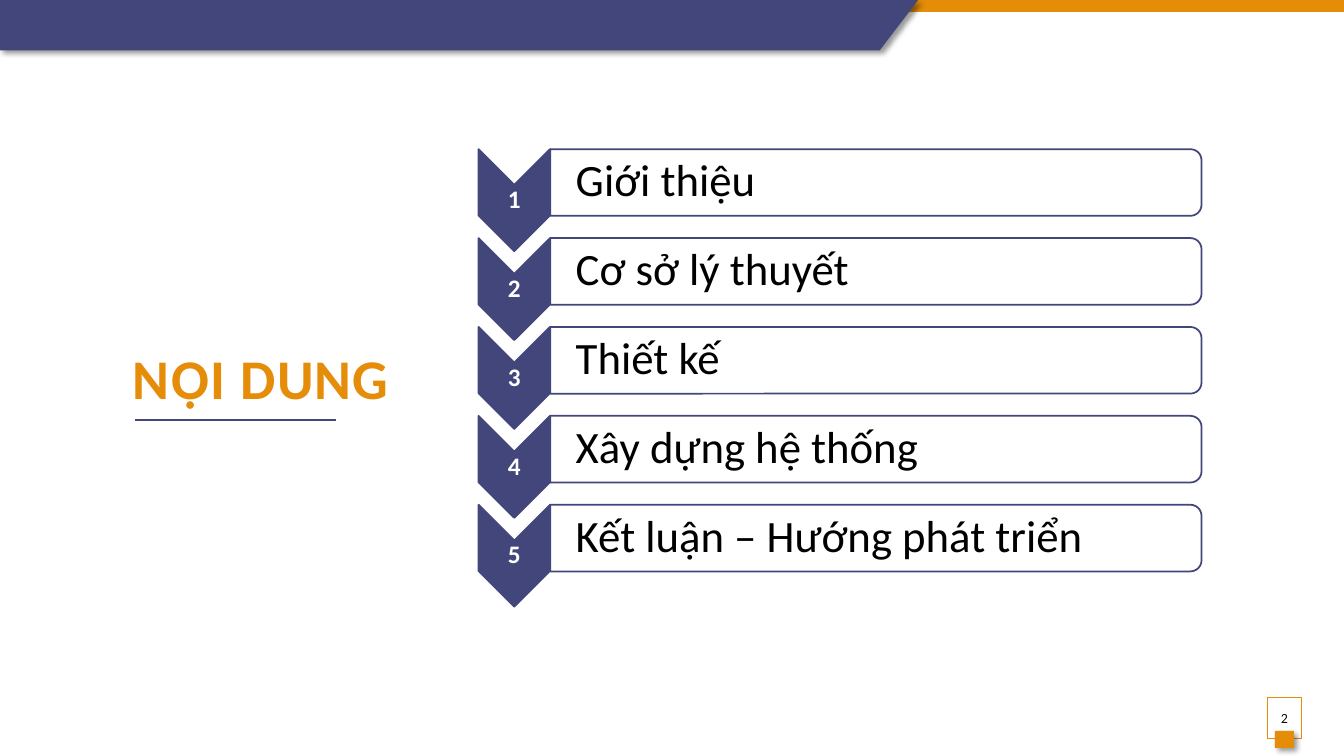
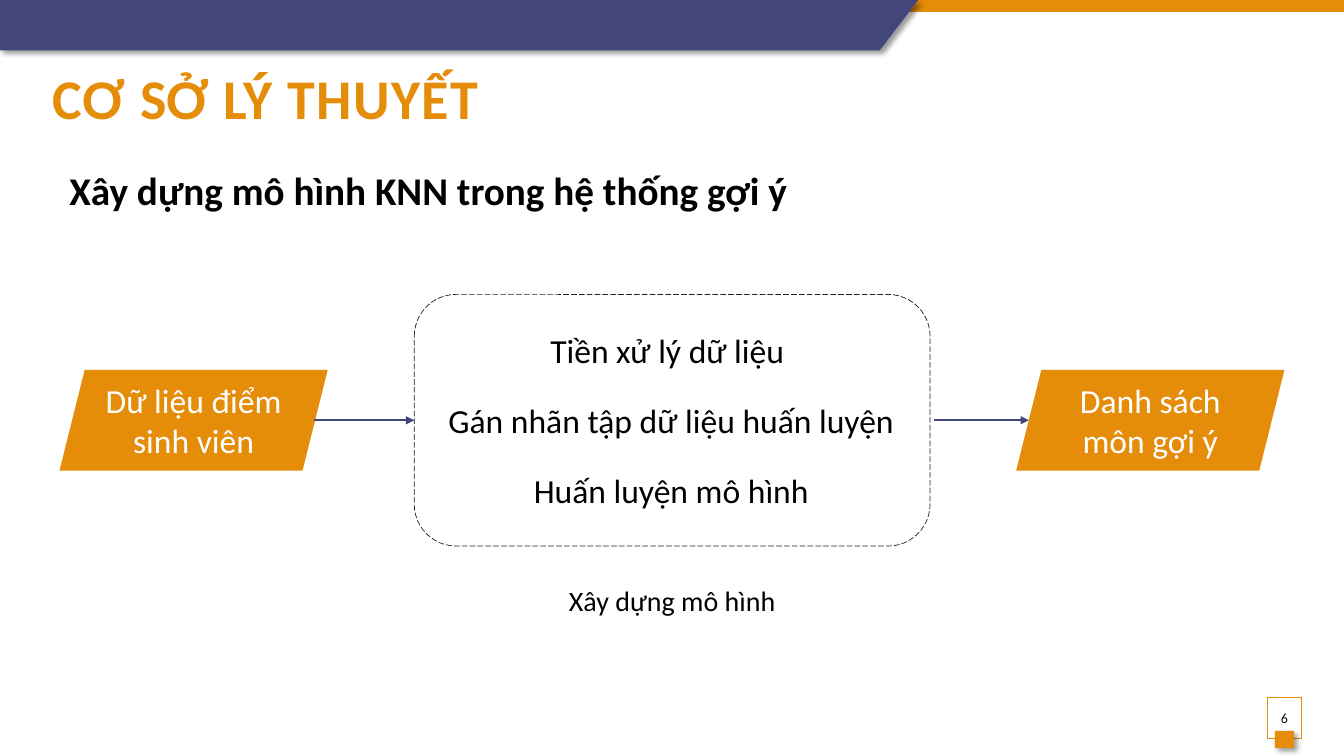
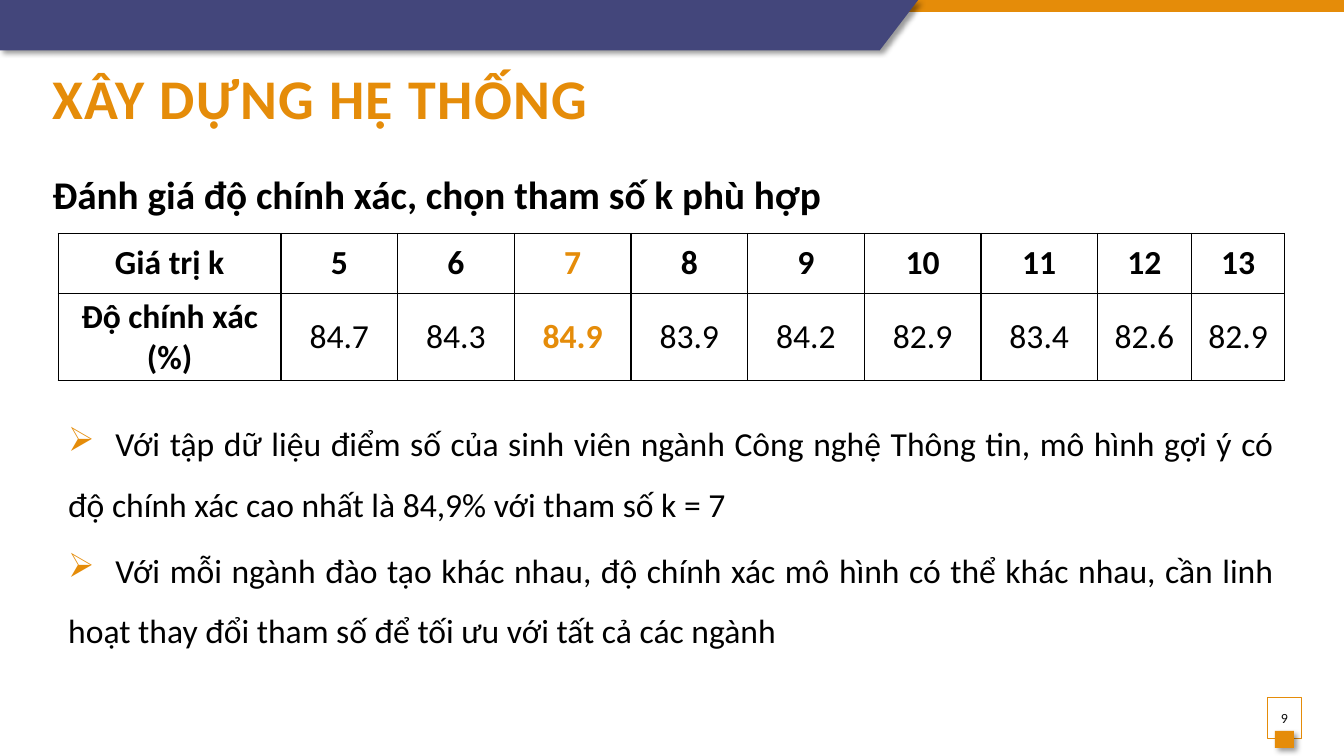
from dataclasses import dataclass
from typing import Any, Optional

from lxml.etree import SubElement
from pptx import Presentation
from pptx.dml.color import RGBColor
from pptx.enum.dml import MSO_LINE
from pptx.enum.shapes import MSO_CONNECTOR, MSO_SHAPE
from pptx.enum.text import MSO_ANCHOR as Anchor, PP_ALIGN as Align
from pptx.oxml.ns import qn
from pptx.slide import Slide
from pptx.util import Cm, Pt

COLORS = {
    "navy": "43467B",
    "orange": "E58C09",
    "white": "FFFFFF",
    "black": "000000",
    "outline": "1D1F36",
    "number": "0D0D0D",
}
FONT = "Calibri"
PAGE_WIDTH, PAGE_HEIGHT = 33.87, 19.05
AXIS_Y = 10.59


@dataclass(frozen=True)
class Frame:
    left: float
    top: float
    width: float
    height: float

    def lengths(self) -> tuple:
        return Cm(self.left), Cm(self.top), Cm(self.width), Cm(self.height)


@dataclass(frozen=True)
class TextStyle:
    size: float
    color: str = "black"
    bold: bool = False
    align: Align = Align.LEFT
    line_spacing: float = 1.0
    anchor: Anchor = Anchor.TOP
    insets: tuple = (0.25, 0.13, 0.25, 0.13)
    tracking: int = 0


@dataclass(frozen=True)
class Arrow:
    start: float
    end: float
    target: Any = None


TITLE = TextStyle(40, "orange", True, tracking=100)
TITLE_MIDDLE = TextStyle(40, "orange", True, anchor=Anchor.MIDDLE, tracking=100)
HEADING = TextStyle(28, bold=True, align=Align.JUSTIFY, line_spacing=1.5)
BODY = TextStyle(24, align=Align.JUSTIFY, line_spacing=1.5)
STEP = TextStyle(24, align=Align.CENTER)
CAPTION = TextStyle(20, align=Align.CENTER)
DATA_LABEL = TextStyle(24, "white", align=Align.CENTER, anchor=Anchor.MIDDLE)
PAGE_NUMBER = TextStyle(10, "number", align=Align.CENTER, anchor=Anchor.MIDDLE,
                        insets=(0, 0.13, 0, 0.13))
AGENDA_NUMBER = TextStyle(18, "white", True, Align.CENTER, 0.9, Anchor.MIDDLE,
                          (0.03, 0.03, 0.03, 0.03))
AGENDA_LABEL = TextStyle(32, line_spacing=0.9, anchor=Anchor.MIDDLE,
                         insets=(0.64, 0.05, 0.05, 0.05))


def rgb(name: str) -> RGBColor:
    return RGBColor.from_string(COLORS[name])


def apply(target: Any, values: dict) -> None:
    for name, value in values.items():
        setattr(target, name, value)


def format_span(para: Any, text: str, style: TextStyle) -> None:
    span = para.add_run()
    span.text = text
    apply(span.font, {"name": FONT, "size": Pt(style.size), "bold": style.bold})
    span.font.color.rgb = rgb(style.color)
    if style.tracking:
        span.font._rPr.set("spc", str(style.tracking))


def write(shape: Any, text: str, style: TextStyle) -> Any:
    left, top, right, bottom = map(Cm, style.insets)
    apply(shape.text_frame, {
        "word_wrap": True, "vertical_anchor": style.anchor,
        "margin_left": left, "margin_top": top,
        "margin_right": right, "margin_bottom": bottom,
    })
    para = shape.text_frame.paragraphs[0]
    apply(para, {"alignment": style.align, "line_spacing": style.line_spacing})
    format_span(para, text, style)
    return para


def add_text(page: Slide, frame: Frame, text: str, style: TextStyle) -> Any:
    return write(page.shapes.add_textbox(*frame.lengths()), text, style)


def paint(shape: Any, fill: Optional[str], line: Optional[str] = None,
          weight: float = 1.25, shadow: bool = False) -> None:
    if fill:
        shape.fill.solid()
        shape.fill.fore_color.rgb = rgb(fill)
    else:
        shape.fill.background()
    if line:
        shape.line.color.rgb = rgb(line)
        shape.line.width = Pt(weight)
    else:
        shape.line.fill.background()
    shape.shadow.inherit = False
    if shadow:
        effects = shape._element.spPr.find(qn("a:effectLst"))
        outer = SubElement(effects, qn("a:outerShdw"), blurRad=str(Pt(4)),
                           dist=str(Pt(3)), dir="2700000", algn="tl", rotWithShape="0")
        tint = SubElement(outer, qn("a:srgbClr"), val=COLORS["black"])
        SubElement(tint, qn("a:alpha"), val="40000")


def add_box(page: Slide, kind: MSO_SHAPE, frame: Frame, fill: Optional[str],
            line: Optional[str] = None, weight: float = 1.25,
            shadow: bool = False) -> Any:
    box = page.shapes.add_shape(kind, *frame.lengths())
    paint(box, fill, line, weight, shadow)
    return box


def add_turned_box(page: Slide, kind: MSO_SHAPE, seen: Frame, fill: str) -> None:
    shift = (seen.width - seen.height) / 2
    frame = Frame(seen.left + shift, seen.top - shift, seen.height, seen.width)
    add_box(page, kind, frame, fill, "navy").rotation = 90


def add_line(page: Slide, start: float, end: float) -> Any:
    line = page.shapes.add_connector(MSO_CONNECTOR.STRAIGHT, Cm(start), Cm(AXIS_Y),
                                     Cm(end), Cm(AXIS_Y))
    line.line.color.rgb = rgb("navy")
    line.line.width = Pt(1.25)
    SubElement(line._element.spPr, qn("a:effectLst"))
    return line


def add_arrow(page: Slide, arrow: Arrow) -> None:
    line = add_line(page, arrow.start, arrow.end)
    SubElement(line.line._get_or_add_ln(), qn("a:tailEnd"), type="triangle")
    if arrow.target is not None:
        line.end_connect(arrow.target, 1)


def add_page(deck: Any, number: int, title: str, title_frame: Frame,
             title_style: TextStyle = TITLE) -> Slide:
    page = deck.slides.add_slide(deck.slide_layouts[6])
    add_box(page, MSO_SHAPE.RECTANGLE, Frame(0, 0, PAGE_WIDTH, 0.3), "orange")
    outline = page.shapes.build_freeform(0, 0)
    outline.add_line_segments([(Cm(x), Cm(y)) for x, y in
                               ((23.14, 0), (22.17, 1.27), (0, 1.27))])
    paint(outline.convert_to_shape(), "navy", shadow=True)
    add_text(page, title_frame, title, title_style)
    badge = add_box(page, MSO_SHAPE.RECTANGLE, Frame(31.95, 17.58, 0.84, 1.02),
                    "white", "orange", 0.75)
    write(badge, str(number), PAGE_NUMBER)
    add_box(page, MSO_SHAPE.RECTANGLE, Frame(32.13, 18.42, 0.48, 0.43),
            "orange", shadow=True)
    return page


def add_agenda(deck: Any) -> None:
    page = add_page(deck, 2, "NỘI DUNG", Frame(3.1, 4.01, 7.57, 11), TITLE_MIDDLE)
    topics = ("Giới thiệu", "Cơ sở lý thuyết", "Thiết kế", "Xây dựng hệ thống",
              "Kết luận – Hướng phát triển")
    for index, topic in enumerate(topics):
        top = 3.76 + 2.24 * index
        add_turned_box(page, MSO_SHAPE.CHEVRON, Frame(12.06, top, 1.8, 2.57), "navy")
        add_text(page, Frame(12.06, top + 0.9, 1.8, 0.77), str(index + 1), AGENDA_NUMBER)
        add_turned_box(page, MSO_SHAPE.ROUND_2_SAME_RECTANGLE,
                       Frame(13.87, top, 16.41, 1.68), "white")
        add_text(page, Frame(13.87, top + 0.08, 16.33, 1.5), topic, AGENDA_LABEL)
    add_line(page, 3.39, 8.47)


def add_model(deck: Any) -> None:
    page = add_page(deck, 6, "CƠ SỞ LÝ THUYẾT", Frame(1.07, 1.47, 26.87, 1.96))
    add_text(page, Frame(1.5, 3.48, 30.89, 1.96),
             "Xây dựng mô hình KNN trong hệ thống gợi ý", HEADING)
    for left, label in ((1.5, "Dữ liệu điểm sinh viên"), (25.61, "Danh sách môn gợi ý")):
        data = add_box(page, MSO_SHAPE.PARALLELOGRAM,
                       Frame(left, AXIS_Y - 1.27, 6.76, 2.54), "orange")
        write(data, label, DATA_LABEL)
    process = add_box(page, MSO_SHAPE.ROUNDED_RECTANGLE,
                      Frame(10.44, AXIS_Y - 3.17, 13, 6.34), None, "outline", 0.5)
    process.line.dash_style = MSO_LINE.LONG_DASH
    steps = ((10.21, "Tiền xử lý dữ liệu"), (10.31, "Gán nhãn tập dữ liệu huấn luyện"),
             (10.31, "Huấn luyện mô hình"))
    for index, (left, step) in enumerate(steps):
        add_text(page, Frame(left, 8.18 + 1.77 * index, 13.21, 1.27), step, STEP)
    for arrow in (Arrow(7.92, 10.44, process), Arrow(23.55, 25.93)):
        add_arrow(page, arrow)
    add_text(page, Frame(12.19, 14.58, 9.5, 1.02), "Xây dựng mô hình", CAPTION)


def fill_cell(cell: Any, text: str, style: TextStyle) -> None:
    apply(cell, {"vertical_anchor": Anchor.MIDDLE, "margin_left": Cm(0.18),
                 "margin_right": Cm(0.18), "margin_top": 0, "margin_bottom": 0})
    para = cell.text_frame.paragraphs[0]
    apply(para, {"alignment": Align.CENTER, "space_before": Pt(6), "space_after": Pt(6)})
    format_span(para, text, style)
    properties = cell._tc.get_or_add_tcPr()
    for side in ("lnL", "lnR", "lnT", "lnB"):
        border = SubElement(properties, qn(f"a:{side}"), w=str(Pt(1)))
        solid = SubElement(border, qn("a:solidFill"))
        SubElement(solid, qn("a:srgbClr"), val=COLORS["black"])
    cell.fill.background()


def add_accuracy_table(page: Slide) -> None:
    rows = (("Giá trị k", "5", "6", "7", "8", "9", "10", "11", "12", "13"),
            ("Độ chính xác (%)", "84.7", "84.3", "84.9", "83.9", "84.2", "82.9",
             "83.4", "82.6", "82.9"))
    best = rows[0].index("7")
    widths = [5.61] + [2.94] * 7 + [2.36] * 2
    frame = Frame(1.47, 5.88, sum(widths), 3.71)
    table = page.shapes.add_table(len(rows), len(widths), *frame.lengths()).table
    apply(table, {"first_row": False, "horz_banding": False})
    for column, width in zip(table.columns, widths):
        column.width = Cm(width)
    for row, height in zip(table.rows, (1.52, 2.19)):
        row.height = Cm(height)
    for row_index, row in enumerate(rows):
        for column_index, text in enumerate(row):
            bold = row_index == 0 or column_index in (0, best)
            color = "orange" if column_index == best else "black"
            fill_cell(table.cell(row_index, column_index), text,
                      TextStyle(24, color, bold))


def add_bullet(page: Slide, frame: Frame, text: str) -> None:
    para = add_text(page, frame, "\t" + text, BODY)
    properties = para._p.get_or_add_pPr()
    apply_marks = {"marL": "0", "indent": "0"}
    for name, value in apply_marks.items():
        properties.set(name, value)
    color = SubElement(properties, qn("a:buClr"))
    SubElement(color, qn("a:srgbClr"), val=COLORS["orange"])
    SubElement(properties, qn("a:buChar"), char="➢")
    stops = SubElement(properties, qn("a:tabLst"))
    SubElement(stops, qn("a:tab"), pos=str(Cm(1.19)), algn="l")


def add_evaluation(deck: Any) -> None:
    page = add_page(deck, 9, "XÂY DỰNG HỆ THỐNG", Frame(1.07, 1.47, 26.87, 1.96))
    add_text(page, Frame(1.07, 3.56, 30.89, 1.96),
             "Đánh giá độ chính xác, chọn tham số k phù hợp", HEADING)
    add_accuracy_table(page)
    findings = (
        "Với tập dữ liệu điểm số của sinh viên ngành Công nghệ Thông tin, mô hình gợi ý có "
        "độ chính xác cao nhất là 84,9% với tham số k = 7",
        "Với mỗi ngành đào tạo khác nhau, độ chính xác mô hình có thể khác nhau, cần linh "
        "hoạt thay đổi tham số để tối ưu với tất cả các ngành",
    )
    for index, finding in enumerate(findings):
        add_bullet(page, Frame(1.47, 10.03 + 3.18 * index, 30.89, 3.3), finding)


def main() -> None:
    deck = Presentation()
    apply(deck, {"slide_width": Cm(PAGE_WIDTH), "slide_height": Cm(PAGE_HEIGHT)})
    for build in (add_agenda, add_model, add_evaluation):
        build(deck)
    deck.save("out.pptx")


if __name__ == "__main__":
    main()
